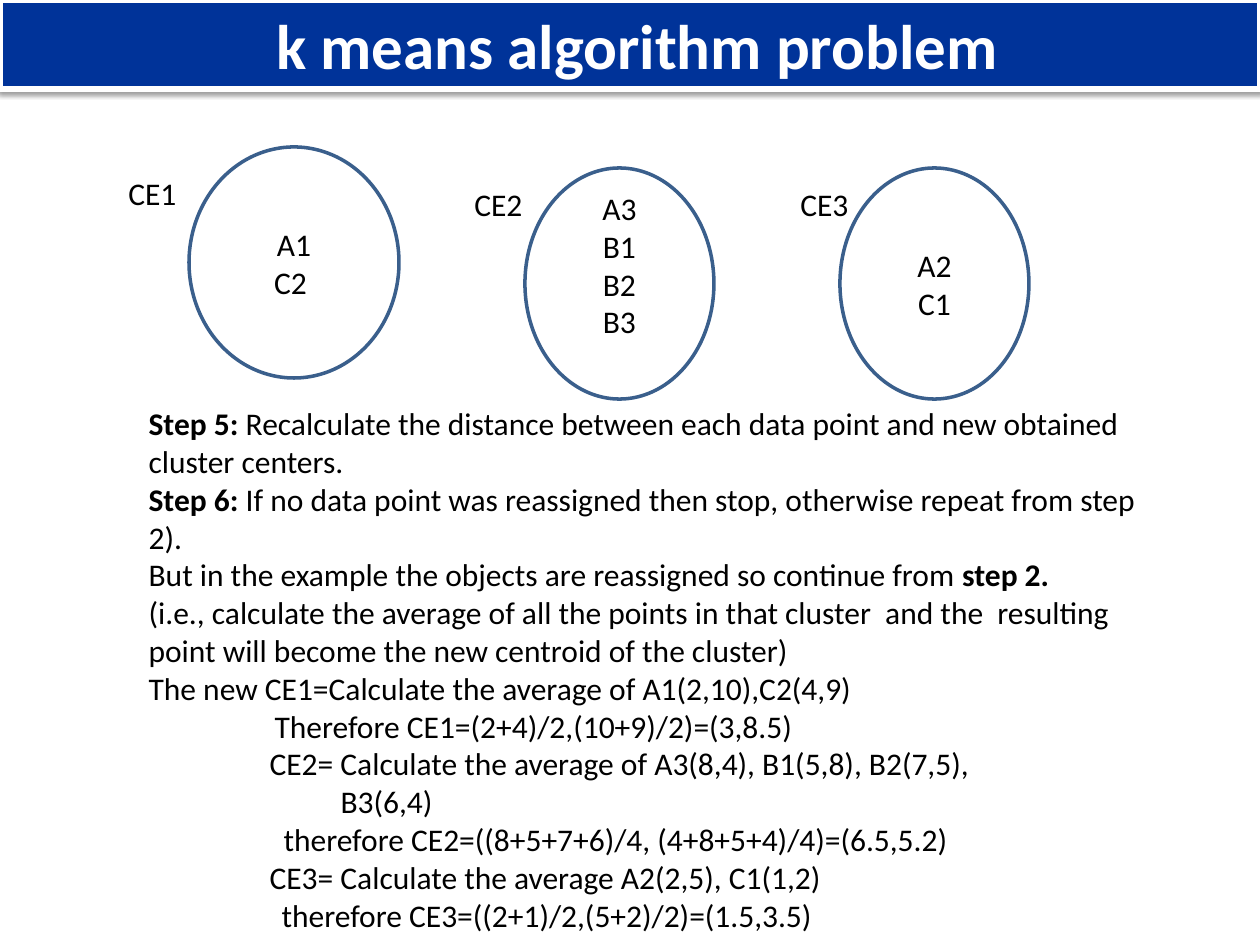
"""Build the k means slide with three clusters and the recalculated centroids."""
from lxml import etree
from pptx import Presentation
from pptx.dml.color import RGBColor
from pptx.enum.shapes import MSO_SHAPE
from pptx.enum.text import MSO_ANCHOR, MSO_AUTO_SIZE, PP_ALIGN
from pptx.oxml.ns import qn
from pptx.util import Pt

OVAL = MSO_SHAPE.OVAL
MIDDLE, TOP = MSO_ANCHOR.MIDDLE, MSO_ANCHOR.TOP
CENTER, LEFT = PP_ALIGN.CENTER, PP_ALIGN.LEFT
NO_FIT = MSO_AUTO_SIZE.NONE
EMU_PER_PX = 914400 / 126


def px(length):
    return round(length * EMU_PER_PX)


def color(code):
    return RGBColor.from_string(code)


deck = Presentation()
deck.slide_width, deck.slide_height = px(1260), px(945)
page = deck.slides.add_slide(deck.slide_layouts[1])

title = page.shapes.title
title.left, title.top, title.width, title.height = px(0), px(0), px(1260), px(89)
title.fill.solid()
title.fill.fore_color.rgb = color("003399")
title.line.color.rgb = color("FFFFFF")
title.line.width = Pt(3)
effects = etree.SubElement(title._element.spPr, qn("a:effectLst"))
shadow = etree.SubElement(effects, qn("a:outerShdw"), blurRad=str(Pt(3.1)),
                          dist=str(Pt(1.6)), dir="5400000", rotWithShape="0")
shade = etree.SubElement(shadow, qn("a:srgbClr"), val="000000")
etree.SubElement(shade, qn("a:alpha"), val="38000")
frame = title.text_frame
frame.text = "k means algorithm problem"
frame.auto_size = NO_FIT
frame.vertical_anchor = MIDDLE
frame.margin_left = px(27)
frame.paragraphs[0].alignment = CENTER
font = frame.paragraphs[0].runs[0].font
font.name, font.size, font.bold = "Calibri", Pt(36), True
font.color.rgb = color("FFFFFF")

body = page.placeholders[1]
body.left, body.top, body.width, body.height = px(136), px(398), px(1018), px(547)
body.text_frame.auto_size = NO_FIT
body.text_frame.vertical_anchor = TOP
lines = [
    (0, [("Step 5:", True), (" Recalculate the distance between each data point and new "
                             "obtained cluster centers.", False)]),
    (0, [("Step 6:", True), (" If no data point was reassigned then stop, otherwise "
                             "repeat from step 2).", False)]),
    (0, [("But in the example the objects are reassigned so continue from ", False),
         ("step 2.", True)]),
    (0, [("(i.e., calculate the average of all the points in that cluster  and the  "
          "resulting point will become the new centroid of the cluster)", False)]),
    (0, [("The new CE1=Calculate the average of A1(2,10),C2(4,9)", False)]),
    (126, [("Therefore CE1=(2+4)/2,(10+9)/2)=(3,8.5)", False)]),
    (121, [("CE2= Calculate the average of A3(8,4), B1(5,8), B2(7,5),", False)]),
    (192, [("B3(6,4)", False)]),
    (135, [("therefore CE2=((8+5+7+6)/4, (4+8+5+4)/4)=(6.5,5.2)", False)]),
    (121, [("CE3= Calculate the average A2(2,5), C1(1,2)", False)]),
    (133, [("therefore CE3=((2+1)/2,(5+2)/2)=(1.5,3.5)", False)]),
]
for number, (indent, spans) in enumerate(lines):
    para = body.text_frame.paragraphs[0] if number == 0 else body.text_frame.add_paragraph()
    para.alignment = LEFT
    para.space_before = Pt(0)
    properties = para._p.get_or_add_pPr()
    properties.set("marL", str(px(indent)))
    properties.set("indent", "0")
    etree.SubElement(properties, qn("a:buNone"))
    for text, bold in spans:
        span = para.add_run()
        span.text = text
        span.font.bold = bold

clusters = [
    ("CE1", (116, 168), (189, 147, 210, 231), "A1\nC2 ", 0),
    ("CE2", (462, 179), (525, 168, 189, 231), "A3\nB1\nB2\nB3", 38),
    ("CE3", (788, 179), (840, 168, 189, 231), "A2\nC1", 0),
]
boxes = [body]
for name, (left, top), bounds, points, lift in clusters:
    group = page.shapes.add_group_shape()
    oval = group.shapes.add_shape(OVAL, *[px(length) for length in bounds])
    oval.shadow.inherit = False
    oval.fill.background()
    oval.line.color.rgb = color("3A5F8C")
    oval.line.width = Pt(2)
    oval.text_frame.text = points
    oval.text_frame.vertical_anchor = MIDDLE
    oval.text_frame.margin_bottom = px(6 + lift)
    for para in oval.text_frame.paragraphs:
        para.alignment = CENTER
    label = group.shapes.add_textbox(px(left), px(top), px(73), px(51))
    label.text_frame.word_wrap = True
    label.text_frame.text = name
    boxes += [oval, label]

for box in boxes:
    for para in box.text_frame.paragraphs:
        for span in para.runs:
            span.font.name, span.font.size = "Calibri", Pt(18)
            span.font.color.rgb = color("000000")

deck.save("out.pptx")
